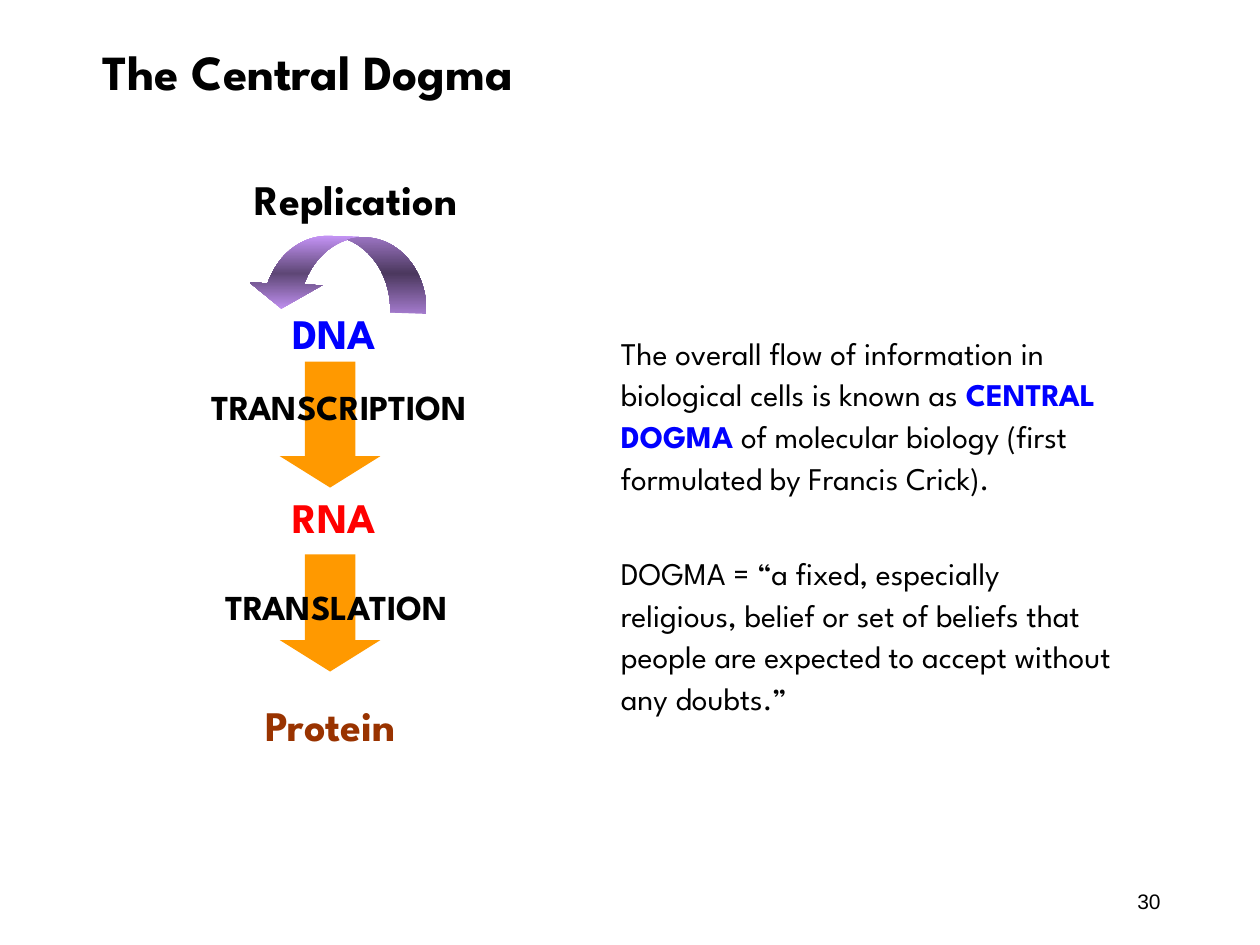
from lxml import etree
from pptx import Presentation
from pptx.dml.color import RGBColor
from pptx.enum.shapes import MSO_SHAPE
from pptx.enum.text import MSO_ANCHOR, PP_ALIGN
from pptx.oxml import parse_xml
from pptx.util import Inches, Pt

LEFT, CENTER, RIGHT = PP_ALIGN.LEFT, PP_ALIGN.CENTER, PP_ALIGN.RIGHT
TOP, MIDDLE = MSO_ANCHOR.TOP, MSO_ANCHOR.MIDDLE
DOWN_ARROW, CURVED_ARROW = MSO_SHAPE.DOWN_ARROW, MSO_SHAPE.CURVED_RIGHT_ARROW
DRAWING_NS = "http://schemas.openxmlformats.org/drawingml/2006/main"
FONT = "League Spartan"
BLACK, WHITE, BLUE, RED = "000000", "FFFFFF", "0000FF", "FF0000"
BROWN, ORANGE = "993300", "FF9900"

# Content: text, box (left, top, width, height), size, colour, alignment
title = ("The Central Dogma", (0.5, 0.28, 3.88, 0.57), 28)
labels = [
    ("Replication", (1.92, 1.33, 2.08, 0.49), 24, BLACK, LEFT),
    ("DNA", (2.22, 2.39, 1.11, 0.43), 24, BLUE, LEFT),
    ("TRANSCRIPTION", (1.58, 3.01, 2.48, 0.49), 20, BLACK, LEFT),
    ("RNA", (1.99, 3.85, 1.33, 0.4), 24, RED, CENTER),
    ("TRANSLATION", (1.69, 4.6, 2.39, 0.51), 20, BLACK, LEFT),
    ("Protein", (1.75, 5.5, 1.75, 0.43), 24, BROWN, CENTER),
]
step_arrows = [(2.87, 1.0), (4.4, 0.93)]  # top, height
ARROW_LEFT, ARROW_WIDTH, HEAD_LENGTH = 2.22, 0.8, 0.25
replication_arrow = (2.38, 1.45, 0.59, 1.44)
purple_stops = [(0, "CC99FF"), (50, "5E4776"), (100, "CC99FF")]

# Paragraphs: space before in points, runs of (text, colour, bold)
explanation = [
    (3.6, [
        ("The overall flow of information in biological cells is known as ", BLACK, False),
        ("CENTRAL DOGMA", BLUE, True),
        (" of molecular biology (first formulated by Francis Crick).", BLACK, False),
    ]),
    (31, [
        ("DOGMA = “a fixed, especially religious, belief or set of beliefs that "
         "people are expected to accept without any doubts.”", BLACK, False),
    ]),
]
slide_number = ("30", (7.06, 6.95, 2.25, 0.4))


def rgb(colour):
    return RGBColor.from_string(colour)


def add_run(paragraph, text, size, colour=BLACK, bold=True, font=FONT):
    run = paragraph.add_run()
    run.text = text
    run.font.name = font
    run.font.size = Pt(size)
    run.font.bold = bold
    run.font.color.rgb = rgb(colour)


def add_text_frame(box, anchor=TOP):
    frame = slide.shapes.add_textbox(*map(Inches, box)).text_frame
    frame.word_wrap = True
    frame.vertical_anchor = anchor
    return frame


def add_arrow(kind, box, adjustments):
    arrow = slide.shapes.add_shape(kind, *map(Inches, box))
    arrow.shadow.inherit = False
    arrow.line.fill.background()
    for index, value in enumerate(adjustments):
        arrow.adjustments[index] = value
    return arrow


def set_vertical_gradient(shape, stops):
    """Three-stop gradient that stays vertical when the shape is rotated."""
    shape.fill.gradient()
    gradient = shape.fill._xPr.find(f"{{{DRAWING_NS}}}gradFill")
    stop_xml = "".join(
        f'<a:gs pos="{position * 1000}"><a:srgbClr val="{colour}"/></a:gs>'
        for position, colour in stops)
    new_gradient = parse_xml(
        f'<a:gradFill xmlns:a="{DRAWING_NS}" rotWithShape="0">'
        f'<a:gsLst>{stop_xml}</a:gsLst></a:gradFill>')
    etree.SubElement(new_gradient, f"{{{DRAWING_NS}}}lin", ang="5400000", scaled="1")
    gradient.getparent().replace(gradient, new_gradient)


presentation = Presentation()
presentation.slide_width, presentation.slide_height = Inches(10), Inches(7.5)
slide = presentation.slides.add_slide(presentation.slide_layouts[5])

# Title
text, box, size = title
heading = slide.shapes.title
heading.left, heading.top, heading.width, heading.height = map(Inches, box)
heading.fill.solid()
heading.fill.fore_color.rgb = rgb(WHITE)
heading.line.color.rgb = rgb(WHITE)
heading.line.width = Pt(1)
heading.text_frame.word_wrap = False
heading.text_frame.vertical_anchor = TOP
heading_line = heading.text_frame.paragraphs[0]
heading_line.alignment = CENTER
add_run(heading_line, text, size)

# Arrows
curved = add_arrow(CURVED_ARROW, replication_arrow, (0.488, 0.976, 0.333))
curved.rotation = 92.1
set_vertical_gradient(curved, purple_stops)
for top, height in step_arrows:
    step = add_arrow(DOWN_ARROW, (ARROW_LEFT, top, ARROW_WIDTH, height),
                     (0.5, HEAD_LENGTH / ARROW_WIDTH))
    step.fill.solid()
    step.fill.fore_color.rgb = rgb(ORANGE)

# Labels of the flow
for text, box, size, colour, alignment in labels:
    label = add_text_frame(box).paragraphs[0]
    label.alignment = alignment
    add_run(label, text, size, colour)

# Explanation
body = add_text_frame((4.83, 2.57, 4.17, 3.55))
for index, (space_before, runs) in enumerate(explanation):
    paragraph = body.add_paragraph() if index else body.paragraphs[0]
    paragraph.line_spacing = 1.1
    paragraph.space_before = Pt(space_before)
    for text, colour, bold in runs:
        add_run(paragraph, text, 18, colour, bold)

# Slide number
text, box = slide_number
number = add_text_frame(box, MIDDLE).paragraphs[0]
number.alignment = RIGHT
add_run(number, text, 12, bold=False, font="Arial")

presentation.save("out.pptx")
